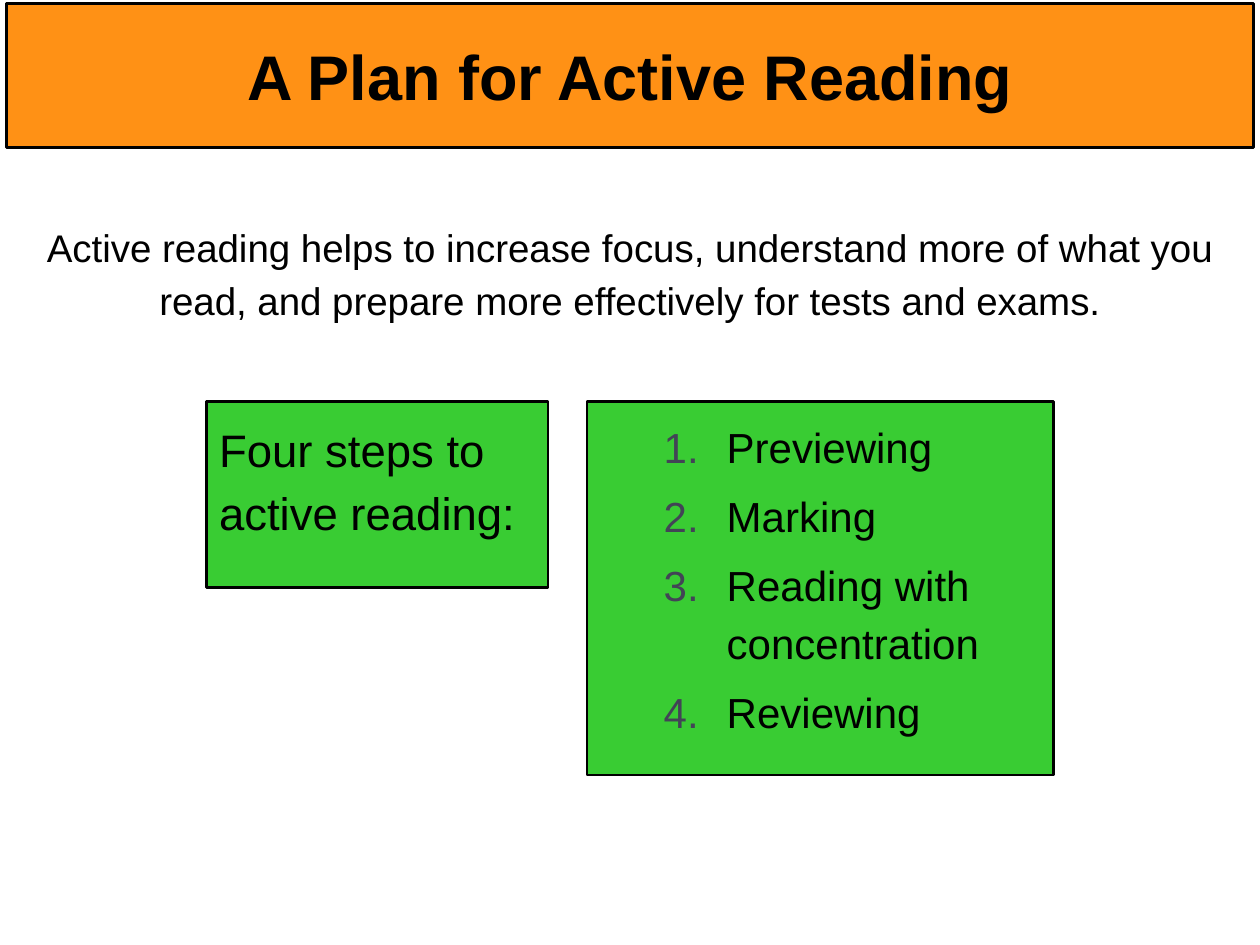
from dataclasses import dataclass
from typing import Optional

from lxml.etree import SubElement
from pptx import Presentation
from pptx.dml.color import RGBColor
from pptx.enum.shapes import MSO_SHAPE as Shape
from pptx.enum.text import MSO_ANCHOR as Anchor, PP_ALIGN as Align
from pptx.oxml.ns import qn
from pptx.util import Inches, Pt

WIDTH, HEIGHT = Inches(10), Inches(7.5)


@dataclass(frozen=True)
class Theme:
    font: str = "Arial"
    ink: str = "000000"
    number: str = "424456"
    orange: str = "FF9115"
    green: str = "39CC33"
    title: int = 36
    intro: int = 22
    prompt: int = 26
    step: int = 24
    line: float = 1.5
    spacing: float = 1.15
    before: float = 6.2
    after: float = 16


THEME = Theme()


@dataclass(frozen=True)
class Panel:
    """A block of text; left, top, width and height are shares of the slide."""
    left: float
    top: float
    width: float
    height: float
    lines: tuple[str, ...]
    size: int
    fill: Optional[str] = None
    bold: bool = False
    align: Align = Align.LEFT
    anchor: Anchor = Anchor.TOP
    inset: float = 0.05
    spacing: float = THEME.spacing
    before: float = 0
    after: float = 0
    numbered: bool = False


PANELS = (
    Panel(0.005, 0.004, 0.99, 0.152, ("A Plan for Active Reading",), THEME.title,
          fill=THEME.orange, bold=True, align=Align.CENTER, anchor=Anchor.MIDDLE,
          spacing=1.0),
    Panel(0.021, 0.223, 0.958, 0.124,
          ("Active reading helps to increase focus, understand more of what you "
           "read, and prepare more effectively for tests and exams.",),
          THEME.intro, align=Align.CENTER),
    Panel(0.164, 0.425, 0.271, 0.197, ("Four steps to active reading:",),
          THEME.prompt, fill=THEME.green, inset=0.1, before=THEME.before),
    Panel(0.466, 0.425, 0.37, 0.395,
          ("Previewing", "Marking", "Reading with concentration", "Reviewing"),
          THEME.step, fill=THEME.green, inset=0.1, before=THEME.before,
          after=THEME.after, numbered=True),
)


def color(value: str) -> RGBColor:
    return RGBColor.from_string(value)


def number_paragraph(para) -> None:
    """Give a paragraph a hanging automatic number in the theme's colour."""
    props = para._p.get_or_add_pPr()
    props.set("marL", str(Inches(1.01)))
    props.set("indent", str(Inches(-0.5)))
    bullet_color = SubElement(props, qn("a:buClr"))
    SubElement(bullet_color, qn("a:srgbClr"), val=THEME.number)
    SubElement(props, qn("a:buFont"), typeface=THEME.font)
    SubElement(props, qn("a:buAutoNum"), type="arabicPeriod")


def write_lines(box, panel: Panel) -> None:
    frame = box.text_frame
    frame.word_wrap = True
    frame.vertical_anchor = panel.anchor
    frame.margin_left = frame.margin_right = Inches(0.1)
    frame.margin_top = frame.margin_bottom = Inches(panel.inset)
    frame.text = "\n".join(panel.lines)
    for para in frame.paragraphs:
        para.alignment = panel.align
        para.line_spacing = panel.spacing
        para.space_before = Pt(panel.before)
        para.font.name = THEME.font
        para.font.size = Pt(panel.size)
        para.font.bold = panel.bold
        para.font.color.rgb = color(THEME.ink)
        # Runs need the same values, since paragraph defaults may be ignored.
        for span in para.runs:
            span.font.name = THEME.font
            span.font.size = Pt(panel.size)
            span.font.bold = panel.bold
            span.font.color.rgb = color(THEME.ink)
    frame.paragraphs[-1].space_after = Pt(panel.after)
    if panel.numbered:
        for para in frame.paragraphs:
            number_paragraph(para)


def draw_panel(page, panel: Panel) -> None:
    place = (int(panel.left * WIDTH), int(panel.top * HEIGHT),
             int(panel.width * WIDTH), int(panel.height * HEIGHT))
    if panel.fill:
        box = page.shapes.add_shape(Shape.RECTANGLE, *place)
        box.shadow.inherit = False
        box.fill.solid()
        box.fill.fore_color.rgb = color(panel.fill)
        box.line.color.rgb = color(THEME.ink)
        box.line.width = Pt(THEME.line)
    else:
        box = page.shapes.add_textbox(*place)
    write_lines(box, panel)


def main() -> None:
    deck = Presentation()
    deck.slide_width, deck.slide_height = WIDTH, HEIGHT
    page = deck.slides.add_slide(deck.slide_layouts[6])
    for panel in PANELS:
        draw_panel(page, panel)
    deck.save("out.pptx")


if __name__ == "__main__":
    main()
